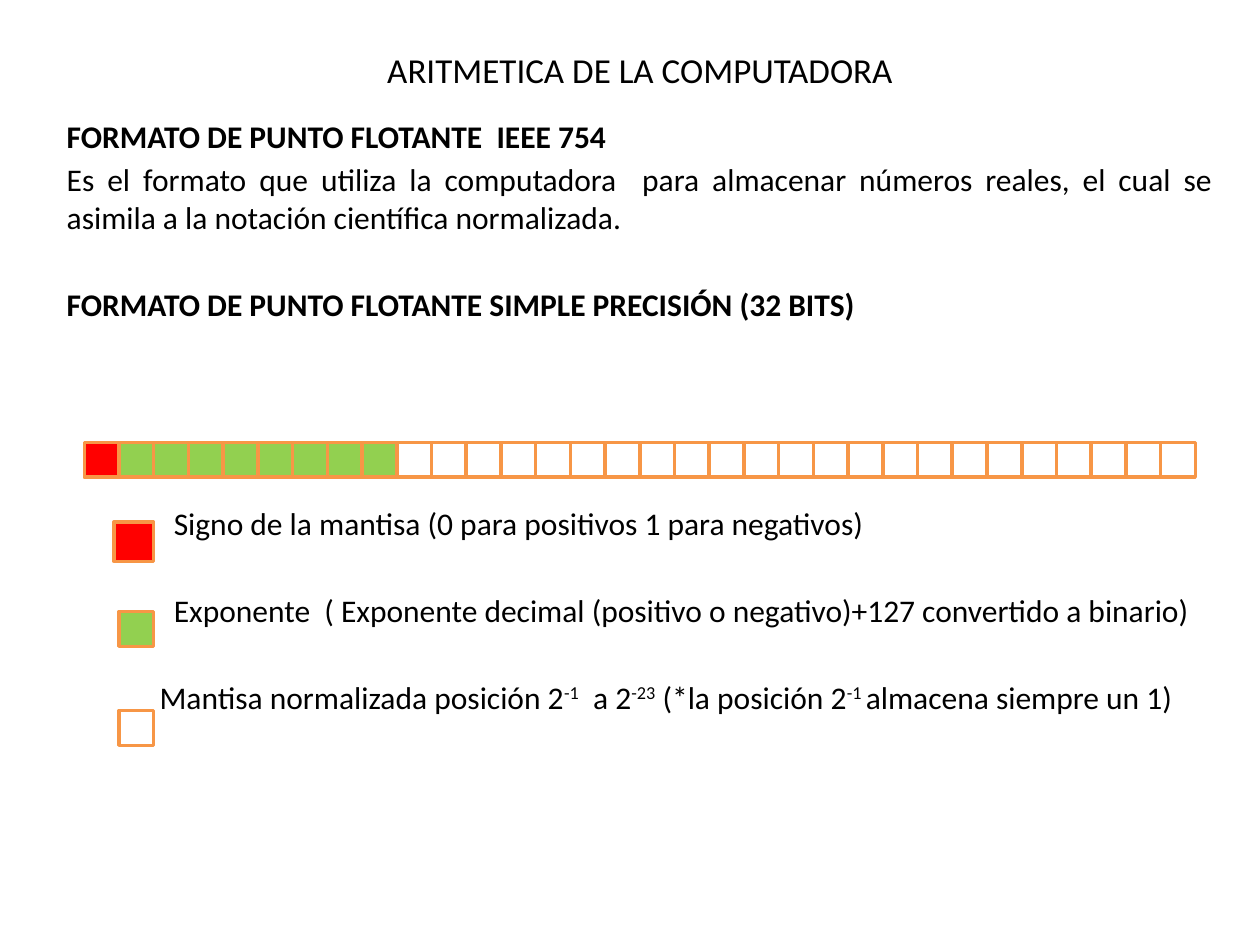
from pptx import Presentation
from pptx.dml.color import RGBColor
from pptx.enum.shapes import MSO_SHAPE
from pptx.enum.text import MSO_ANCHOR, PP_ALIGN
from pptx.util import Pt

COLORS = {"text": "000000", "sign": "FF0000", "exponent": "92D050",
          "mantissa": "FFFFFF", "border": "F79646"}
BIT = 19.84
LINE = 25.05
GAP = 3.1


class SlideBuilder:
    """Hold the style and the current slide."""

    def __init__(self, page, font="Calibri"):
        self.page = page
        self.font = font

    def text_box(self, left, top, width, height, anchor=MSO_ANCHOR.TOP):
        box = self.page.shapes.add_textbox(Pt(left), Pt(top), Pt(width), Pt(height))
        frame = box.text_frame
        frame.word_wrap = True
        frame.vertical_anchor = anchor
        return frame

    def paragraph(self, para, runs, size, align, bold=False, before=0, indent=0):
        para.alignment = align
        para.space_before = Pt(before)
        if indent:
            properties = para._p.get_or_add_pPr()
            properties.set("marL", str(Pt(indent)))
            properties.set("indent", "0")
        for text, raised in runs:
            span = para.add_run()
            span.text = text
            font = span.font
            font.name, font.size, font.bold = self.font, Pt(size), bold
            font.color.rgb = RGBColor.from_string(COLORS["text"])
            if raised:
                font._element.set("baseline", "30000")

    def square(self, left, top, size, part):
        shape = self.page.shapes.add_shape(
            MSO_SHAPE.RECTANGLE, Pt(left), Pt(top), Pt(size), Pt(size))
        shape.shadow.inherit = False
        shape.fill.solid()
        shape.fill.fore_color.rgb = RGBColor.from_string(COLORS[part])
        shape.line.color.rgb = RGBColor.from_string(COLORS["border"])
        shape.line.width = Pt(2)


def main():
    deck = Presentation()
    deck.slide_width, deck.slide_height = Pt(720), Pt(540)
    builder = SlideBuilder(deck.slides.add_slide(deck.slide_layouts[6]))

    title = builder.text_box(59.8, 26, 612, 28, MSO_ANCHOR.MIDDLE)
    builder.paragraph(title.paragraphs[0], [("ARITMETICA DE LA COMPUTADORA", False)],
                      20, PP_ALIGN.CENTER)

    body = [
        ([("FORMATO DE PUNTO FLOTANTE  IEEE 754", False)], True, 0, 0),
        ([("Es el formato que utiliza la computadora  para almacenar números reales, "
           "el cual se asimila a la notación científica normalizada.", False)], False, 0, 0),
        ([("FORMATO DE PUNTO FLOTANTE SIMPLE PRECISIÓN (32 BITS)", False)], True, 1, 0),
        ([("Signo de la mantisa (0 para positivos 1 para negativos)", False)], False, 4, 61.2),
        ([("Exponente  ( Exponente decimal (positivo o negativo)+127 convertido a binario)",
           False)], False, 1, 61.2),
        ([("Mantisa normalizada posición 2", False), ("-1", True), ("  a 2", False),
          ("-23", True), (" (*la posición 2", False), ("-1 ", True),
          ("almacena siempre un 1)", False)], False, 1, 53.1),
    ]
    frame = builder.text_box(31, 63.4, 669, 420)
    for index, (runs, bold, skipped, indent) in enumerate(body):
        para = frame.add_paragraph() if index else frame.paragraphs[0]
        align = PP_ALIGN.JUSTIFY if index else PP_ALIGN.LEFT
        builder.paragraph(para, runs, 18, align, bold, GAP + skipped * LINE, indent)

    bits = ["sign"] + ["exponent"] * 8 + ["mantissa"] * 23
    for index, part in enumerate(bits):
        builder.square(48.2 + index * BIT, 252.9, BIT, part)

    for left, top, size, part in [(65.2, 298.2, 22.6, "sign"),
                                  (67.9, 349.5, BIT, "exponent"),
                                  (67.9, 406.1, BIT, "mantissa")]:
        builder.square(left, top, size, part)

    deck.save("out.pptx")


if __name__ == "__main__":
    main()
